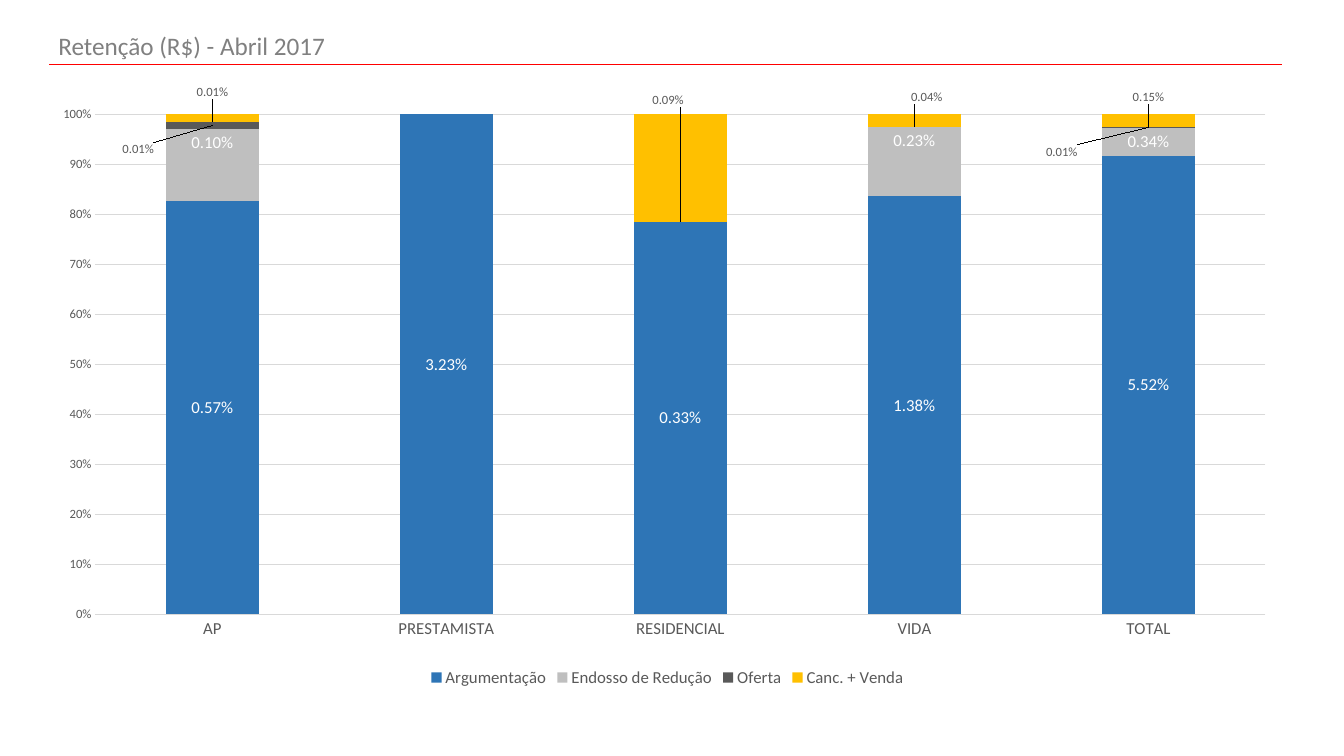
from dataclasses import dataclass, field

from lxml.etree import SubElement
from pptx import Presentation
from pptx.chart.chart import Chart
from pptx.chart.data import CategoryChartData
from pptx.chart.series import BarSeries
from pptx.dml.color import RGBColor
from pptx.enum.chart import XL_CHART_TYPE as ChartType
from pptx.enum.chart import XL_LABEL_POSITION as LabelPosition
from pptx.enum.chart import XL_LEGEND_POSITION as LegendPosition
from pptx.enum.chart import XL_TICK_MARK as TickMark
from pptx.enum.shapes import MSO_CONNECTOR as Connector
from pptx.oxml import parse_xml
from pptx.oxml.ns import nsdecls, qn
from pptx.slide import Slide
from pptx.util import Inches, Pt

RED = RGBColor(0xFF, 0x00, 0x00)
BLUE = RGBColor(0x2E, 0x75, 0xB6)
YELLOW = RGBColor(0xFF, 0xC0, 0x00)
WHITE = RGBColor(0xFF, 0xFF, 0xFF)
LIGHT_GRAY = RGBColor(0xD9, 0xD9, 0xD9)
SILVER = RGBColor(0xBF, 0xBF, 0xBF)
MID_GRAY = RGBColor(0x80, 0x80, 0x80)
DARK_GRAY = RGBColor(0x59, 0x59, 0x59)
FONT_NAME = "Calibri"
PERCENT = "0.00%"
CATEGORIES = ("AP", "PRESTAMISTA", "RESIDENCIAL", "VIDA", "TOTAL")
BOXED_CATEGORY = "RESIDENCIAL"


@dataclass(frozen=True)
class RetentionSeries:
    name: str
    values: tuple[float | None, ...]
    color: RGBColor
    label_color: RGBColor
    label_size: int
    label_position: LabelPosition = LabelPosition.CENTER
    label_offsets: dict[str, tuple[float, float]] = field(default_factory=dict)


RETENTION = (
    RetentionSeries("Argumentação", (0.0057, 0.0323, 0.0033, 0.0138, 0.0552), BLUE, WHITE, 12),
    RetentionSeries("Endosso de Redução", (0.001, None, None, 0.0023, 0.0034), SILVER, WHITE, 12,
                    LabelPosition.INSIDE_END),
    RetentionSeries("Oferta", (0.0001, None, None, None, 0.0001), DARK_GRAY, DARK_GRAY, 9,
                    label_offsets={"AP": (-0.06, 0.04), "TOTAL": (-0.07, 0.04)}),
    RetentionSeries("Canc. + Venda", (0.0001, None, 0.0009, 0.0004, 0.0015), YELLOW, DARK_GRAY, 9,
                    LabelPosition.INSIDE_BASE,
                    {"AP": (0, -0.03), "RESIDENCIAL": (-0.01, -0.18),
                     "VIDA": (0.01, -0.03), "TOTAL": (0, -0.03)}),
)


def style_font(font, size: int, color: RGBColor) -> None:
    font.name = FONT_NAME
    font.size = Pt(size)
    font.bold = False
    font.color.rgb = color


def manual_layout(**settings: str | float):
    layout = parse_xml(f"<c:layout {nsdecls('c')}><c:manualLayout/></c:layout>")
    for name, value in settings.items():
        SubElement(layout[0], qn(f"c:{name}")).set("val", str(value))
    return layout


def add_title(slide: Slide) -> None:
    text_box = slide.shapes.add_textbox(Inches(0.48), Inches(0.25), Inches(12.28), Inches(0.4))
    text_frame = text_box.text_frame
    text_frame.word_wrap = True
    text_frame.text = "Retenção (R$) - Abril 2017"
    style_font(text_frame.paragraphs[0].runs[0].font, 18, MID_GRAY)


def add_title_rule(slide: Slide) -> None:
    rule = slide.shapes.add_connector(
        Connector.STRAIGHT, Inches(0.49), Inches(0.64), Inches(12.72), Inches(0.64))
    rule.line.color.rgb = RED
    rule.line.width = Pt(0.5)
    SubElement(rule._element.spPr, qn("a:effectLst"))


def move_labels(series: BarSeries, retention: RetentionSeries) -> None:
    for category, (x, y) in retention.label_offsets.items():
        index = CATEGORIES.index(category)
        label = series.points[index].data_label
        label.position = retention.label_position
        style_font(label.font, retention.label_size, retention.label_color)
        element = next(item for item in series._element.iter(qn("c:dLbl"))
                       if item.find(qn("c:idx")).get("val") == str(index))
        element.insert(1, manual_layout(x=x, y=y))
        element.insert(2, parse_xml(
            f'<c:numFmt {nsdecls("c")} formatCode="{PERCENT}" sourceLinked="0"/>'))
        if category == BOXED_CATEGORY:
            element.insert(3, parse_xml(
                f'<c:spPr {nsdecls("c", "a")}><a:noFill/><a:ln w="9525"><a:solidFill>'
                f'<a:srgbClr val="{SILVER}"/></a:solidFill></a:ln></c:spPr>'))


def style_series(series: BarSeries, retention: RetentionSeries) -> None:
    series.format.fill.solid()
    series.format.fill.fore_color.rgb = retention.color
    series.invert_if_negative = False
    labels = series.data_labels
    labels.show_value = True
    labels.number_format = PERCENT
    labels.number_format_is_linked = False
    labels.position = retention.label_position
    style_font(labels.font, retention.label_size, retention.label_color)
    move_labels(series, retention)


def style_axes(chart: Chart) -> None:
    for axis, size in ((chart.category_axis, 12), (chart.value_axis, 9)):
        axis.major_tick_mark = TickMark.NONE
        axis.minor_tick_mark = TickMark.NONE
        style_font(axis.tick_labels.font, size, DARK_GRAY)
    value_axis = chart.value_axis
    value_axis.tick_labels.number_format = "0%"
    value_axis.tick_labels.number_format_is_linked = False
    value_axis.format.line.fill.background()
    value_axis.has_major_gridlines = True
    for line in (chart.category_axis.format.line, value_axis.major_gridlines.format.line):
        line.color.rgb = LIGHT_GRAY
        line.width = Pt(0.75)


def place_plot(chart: Chart) -> None:
    plot_area = chart._chartSpace.chart.plotArea
    for layout in plot_area.findall(qn("c:layout")):
        plot_area.remove(layout)
    plot_area.insert(0, manual_layout(
        layoutTarget="inner", xMode="edge", yMode="edge", x=0.038, y=0.057, w=0.945, h=0.817))


def add_retention_chart(slide: Slide) -> None:
    chart_data = CategoryChartData(number_format=PERCENT)
    chart_data.categories = CATEGORIES
    for retention in RETENTION:
        chart_data.add_series(retention.name, retention.values)
    chart = slide.shapes.add_chart(
        ChartType.COLUMN_STACKED_100, Inches(0.48), Inches(0.79),
        Inches(12.28), Inches(6.07), chart_data).chart
    chart.has_title = False
    style_font(chart.font, 10, RGBColor(0, 0, 0))
    plot = chart.plots[0]
    plot.gap_width = 150
    plot.overlap = 100
    plot.vary_by_categories = False
    for series, retention in zip(plot.series, RETENTION):
        style_series(series, retention)
    style_axes(chart)
    place_plot(chart)
    chart.has_legend = True
    chart.legend.position = LegendPosition.BOTTOM
    chart.legend.include_in_layout = False
    style_font(chart.legend.font, 12, DARK_GRAY)


def main() -> None:
    presentation = Presentation()
    presentation.slide_width = Inches(13.33)
    presentation.slide_height = Inches(7.5)
    slide = presentation.slides.add_slide(presentation.slide_layouts[6])
    add_title_rule(slide)
    add_retention_chart(slide)
    add_title(slide)
    presentation.save("out.pptx")


if __name__ == "__main__":
    main()
